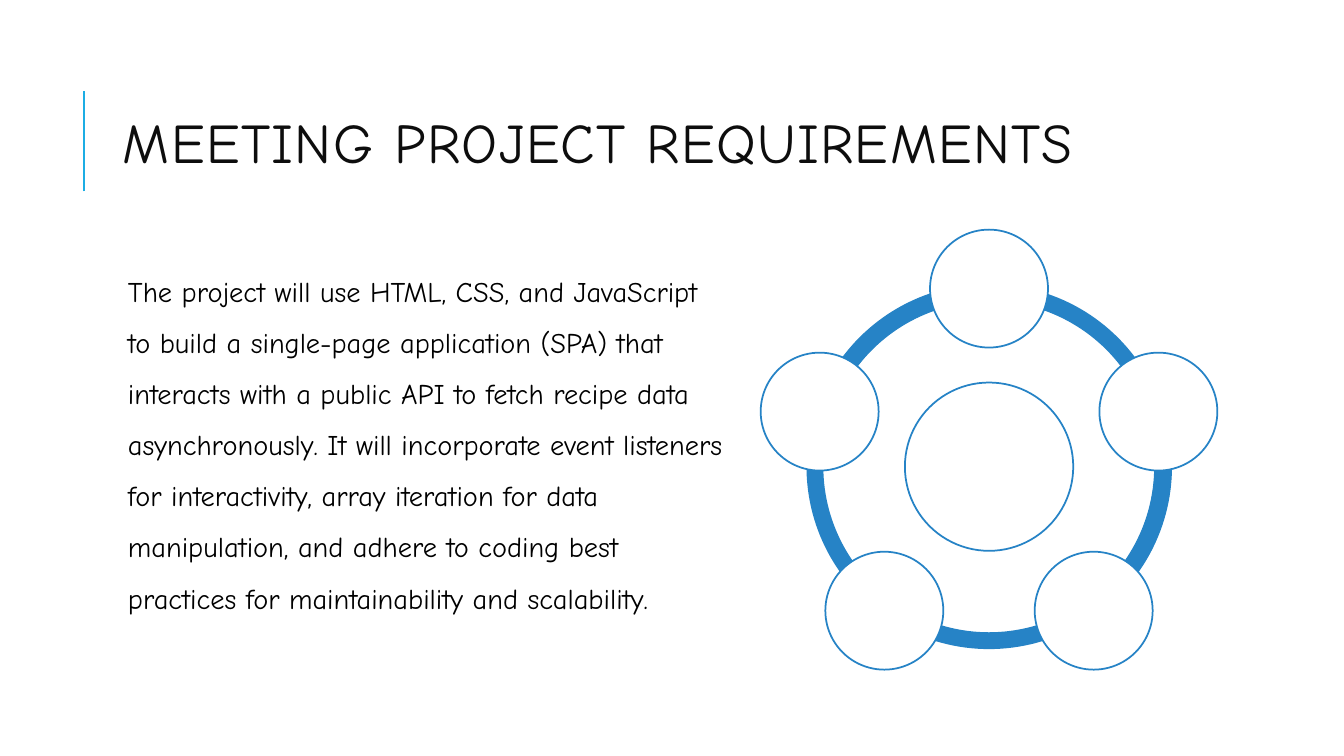
import math
import pptx
import pptx.dml.color
import pptx.enum.shapes
import pptx.enum.text
import pptx.oxml.ns
import pptx.util
from lxml import etree

RGB = pptx.dml.color.RGBColor
SHAPE = pptx.enum.shapes.MSO_SHAPE
ANCHOR = pptx.enum.text.MSO_ANCHOR
Pt = pptx.util.Pt
Inches = pptx.util.Inches

SKY = RGB(0x1C, 0xAD, 0xE4)
BLUE = RGB(0x26, 0x83, 0xC6)
WHITE = RGB(0xFF, 0xFF, 0xFF)
INK = RGB(0x0D, 0x0D, 0x0D)
BLACK = RGB(0x00, 0x00, 0x00)
FONT = "Comic Neue"

WIDE = Inches(13.33)
HIGH = Inches(7.5)

TITLE = "MEETING PROJECT REQUIREMENTS"
BODY = (
    "The project will use HTML, CSS, and JavaScript to build a single-page "
    "application (SPA) that interacts with a public API to fetch recipe data "
    "asynchronously. It will incorporate event listeners for interactivity, "
    "array iteration for data manipulation, and adhere to coding best "
    "practices for maintainability and scalability."
)

NODES = 5
STEP = 360 / NODES
TOP = 270


def across(share):
    return round(WIDE * share / 100)


def down(share):
    return round(HIGH * share / 100)


def add_text(slide, box, text, size, color, anchor, inset, leading):
    left, top, width, height = box
    shape = slide.shapes.add_textbox(
        across(left), down(top), across(width), down(height))
    frame = shape.text_frame
    frame.word_wrap = True
    frame.vertical_anchor = anchor
    frame.margin_left = frame.margin_right = inset
    frame.margin_top = frame.margin_bottom = Inches(0.05)
    para = frame.paragraphs[0]
    para.line_spacing = leading
    run = para.add_run()
    run.text = text
    run.font.name = FONT
    run.font.size = Pt(size)
    run.font.color.rgb = color
    return para, run


def add_title(slide):
    para, run = add_text(slide, (8.4, 8.53, 82.37, 21.87), TITLE, 40, INK,
                         ANCHOR.MIDDLE, Inches(0.1), 0.8)
    run._r.get_or_add_rPr().set("spc", "100")


def add_body(slide):
    para, run = add_text(slide, (8.4, 33.33, 45.76, 58.67), BODY, 20.3, BLACK,
                         ANCHOR.TOP, Inches(0.05), 1.5)
    para.space_before = Pt(12)
    para.space_after = Pt(2)
    para._p.get_or_add_pPr().set("marL", str(Inches(0.1)))


def add_rule(slide):
    rule = slide.shapes.add_connector(
        pptx.enum.shapes.MSO_CONNECTOR.STRAIGHT,
        across(6.23), down(25.33), across(6.23), down(12))
    rule.line.color.rgb = SKY
    rule.line.width = Pt(1.5)
    etree.SubElement(rule._element.spPr, pptx.oxml.ns.qn("a:effectLst"))


def add_round(slide, kind, mid, reach, fill, weight):
    x, y = mid
    shape = slide.shapes.add_shape(
        kind, x - reach, y - reach, 2 * reach, 2 * reach)
    shape.shadow.inherit = False
    shape.fill.solid()
    shape.fill.fore_color.rgb = fill
    if weight:
        shape.line.color.rgb = BLUE
        shape.line.width = Pt(weight)
    else:
        shape.line.fill.background()
    return shape


def add_arc(slide, mid, start, weight):
    arc = add_round(slide, SHAPE.BLOCK_ARC, mid, down(24.13), BLUE, weight)
    ends = (start % 360, (start + STEP) % 360)
    for place, angle in enumerate(ends):
        arc.adjustments[place] = angle * 0.6
    arc.adjustments[2] = 0.046


def add_cycle(slide):
    mid = x, y = across(73.59), down(61.73)
    orbit = down(23.55)
    for turn, weight in enumerate((0.75, 0, 0, 0.75, 0), start=1):
        add_arc(slide, mid, TOP - turn * STEP, weight)
    add_round(slide, SHAPE.OVAL, mid, down(11.13), WHITE, 1.25)
    for turn in range(NODES):
        angle = math.radians(TOP + turn * STEP)
        spot = (round(x + orbit * math.cos(angle)),
                round(y + orbit * math.sin(angle)))
        add_round(slide, SHAPE.OVAL, spot, down(7.8), WHITE, 1.25)


def main():
    deck = pptx.Presentation()
    deck.slide_width = WIDE
    deck.slide_height = HIGH
    slide = deck.slides.add_slide(deck.slide_layouts[6])
    slide.background.fill.solid()
    slide.background.fill.fore_color.rgb = WHITE
    add_rule(slide)
    add_title(slide)
    add_body(slide)
    add_cycle(slide)
    deck.save("out.pptx")


if __name__ == "__main__":
    main()
